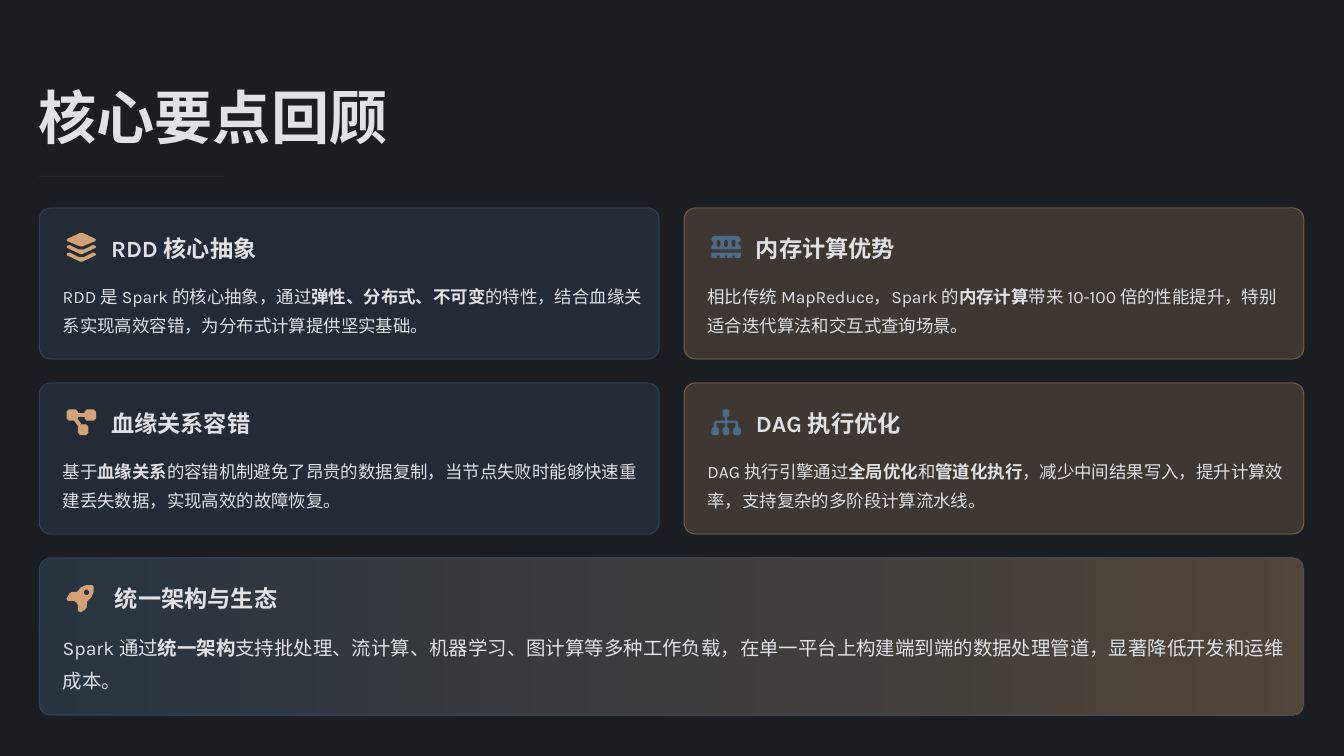
from lxml import etree
from pptx import Presentation
from pptx.dml.color import RGBColor
from pptx.enum.lang import MSO_LANGUAGE_ID
from pptx.enum.shapes import MSO_CONNECTOR, MSO_SHAPE
from pptx.enum.text import MSO_ANCHOR, MSO_AUTO_SIZE
from pptx.oxml.ns import qn
from pptx.util import Inches, Pt

CHINESE = MSO_LANGUAGE_ID.SIMPLIFIED_CHINESE
STRAIGHT = MSO_CONNECTOR.STRAIGHT
ROUNDED = MSO_SHAPE.ROUNDED_RECTANGLE
MIDDLE = MSO_ANCHOR.MIDDLE
NO_AUTOFIT = MSO_AUTO_SIZE.NONE

INK, BACKGROUND, BLUE, SAND = "E0E2E6", "1A1D21", "4A6B8A", "D4A373"
HEADING_FONT, BODY_FONT = "Noto Sans CJK SC", "Karla"


def block(x, y, width, height, cut=2):
    """Outline of a rectangle with cut corners."""
    right, bottom = x + width, y + height
    return [(x + cut, y), (right - cut, y), (right, y + cut), (right, bottom - cut),
            (right - cut, bottom), (x + cut, bottom), (x, bottom - cut), (x, y + cut)]


def layer(y):
    """Lower sheet of the stack icon."""
    return [(4, y), (16, y + 6), (23, y + 6), (35, y), (38, y + 1), (39, y + 3), (38, y + 4),
            (21, y + 12), (18, y + 12), (1, y + 4), (0, y + 3), (1, y + 1)]


# Icon outlines, in hundredths of an inch
ICONS = {
    "layers": [
        [(18, 0), (21, 0), (38, 8), (39, 9), (38, 11), (21, 18), (18, 18), (1, 11), (0, 9), (1, 8)],
        layer(16), layer(26)],
    "memory": [
        [(4, 4), (35, 4), (38, 6), (39, 10), (36, 13), (36, 15), (39, 18), (39, 22),
         (0, 22), (0, 18), (3, 15), (3, 13), (0, 10), (1, 6)],
        [(0, 26), (39, 26), (39, 31), (37, 33), (31, 33), (31, 30), (28, 30), (28, 33), (21, 33),
         (21, 30), (18, 30), (18, 33), (11, 33), (11, 30), (7, 30), (7, 33), (2, 33), (0, 31)],
        block(7, 9, 5, 10), block(17, 9, 5, 10), block(27, 9, 5, 10)],
    "lineage": [
        block(0, 2, 15, 15, 3), block(24, 2, 15, 15, 3), block(15, 22, 14, 14, 3),
        [(15, 7), (24, 7), (24, 12), (15, 12)], [(10, 17), (15, 15), (20, 22), (15, 24)]],
    "tree": [
        block(15, 2, 9, 10), block(0, 26, 10, 10), block(15, 26, 9, 10), block(29, 26, 10, 10),
        [(18, 12), (21, 12), (21, 17), (33, 17), (36, 20), (36, 26), (32, 26), (32, 20), (21, 20),
         (21, 26), (18, 26), (18, 20), (7, 20), (7, 26), (3, 26), (3, 20), (6, 17), (18, 17)]],
    "rocket": [
        [(10, 24), (2, 24), (0, 21), (4, 14), (7, 12), (14, 12), (19, 6), (26, 3), (34, 3), (36, 5),
         (36, 12), (33, 19), (27, 25), (27, 32), (25, 35), (19, 39), (15, 37), (15, 29), (13, 26)],
        block(23, 9, 7, 7)],
}

# Cards; every second piece of a body is bold
TITLE = "核心要点回顾"
CARDS = [
    dict(icon="layers", title="RDD 核心抽象", body=[
        "RDD 是 Spark 的核心抽象，通过", "弹性、分布式、不可变",
        "的特性，结合血缘关系实现高效容错，为分布式计算提供坚实基础。"]),
    dict(icon="memory", title="内存计算优势", body=[
        "相比传统 MapReduce，Spark 的", "内存计算",
        "带来 10-100 倍的性能提升，特别适合迭代算法和交互式查询场景。"]),
    dict(icon="lineage", title="血缘关系容错", body=[
        "基于", "血缘关系",
        "的容错机制避免了昂贵的数据复制，当节点失败时能够快速重建丢失数据，实现高效的故障恢复。"]),
    dict(icon="tree", title="DAG 执行优化", body=[
        "DAG 执行引擎通过", "全局优化", "和", "管道化执行",
        "，减少中间结果写入，提升计算效率，支持复杂的多阶段计算流水线。"]),
]
SUMMARY = dict(icon="rocket", title="统一架构与生态", body=[
    "Spark 通过", "统一架构",
    "支持批处理、流计算、机器学习、图计算等多种工作负载，在单一平台上构建端到端的数据处理管道，显著降低开发和运维成本。"])

# Grid, in inches
LEFT, TOP, GAP = 0.52, 2.75, 0.33
CARD_WIDTH, CARD_HEIGHT, ROW_STEP = 8.2, 2, 2.315
FULL_WIDTH, FULL_HEIGHT = 2 * CARD_WIDTH + GAP, 2.08

presentation = Presentation()
presentation.slide_width, presentation.slide_height = Inches(17.78), Inches(10)
slide = presentation.slides.add_slide(presentation.slide_layouts[6])


def color(value):
    return RGBColor.from_string(value)


def set_opacity(element, percent):
    for node in element.iter(qn("a:srgbClr")):
        etree.SubElement(node, qn("a:alpha"), val=str(percent * 1000))


def add_text(pieces, x, y, width, height, size, font=BODY_FONT, bold=False, spacing=1.0, wrap=True):
    frame = slide.shapes.add_textbox(*map(Inches, (x, y, width, height))).text_frame
    frame.margin_left = frame.margin_right = frame.margin_top = frame.margin_bottom = 0
    frame.auto_size, frame.word_wrap, frame.vertical_anchor = NO_AUTOFIT, wrap, MIDDLE
    paragraph = frame.paragraphs[0]
    paragraph.line_spacing = spacing
    for index, piece in enumerate(pieces):
        run = paragraph.add_run()
        run.text = piece
        run.font.size, run.font.name = Pt(size), font
        run.font.bold = bold or index % 2 == 1
        run.font.color.rgb = color(INK)
        run.font.language_id = CHINESE
        run.font._element.find(qn("a:latin")).addnext(
            etree.Element(qn("a:ea"), typeface=font))


def add_icon(name, x, y, fill):
    outlines = ICONS[name]
    builder = slide.shapes.build_freeform(*outlines[0][0], scale=Inches(0.01))
    for index, outline in enumerate(outlines):
        if index:
            builder.move_to(*outline[0])
        builder.add_line_segments(outline[1:], close=True)
    shape = builder.convert_to_shape(Inches(x), Inches(y))
    shape.shadow.inherit = False
    shape.fill.solid()
    shape.fill.fore_color.rgb = color(fill)
    shape.line.fill.background()


def add_card(card, x, y, width, height, fills, opacity, icon_color,
             title_offset=0.95, body_size=16.6, body_height=0.76):
    shape = slide.shapes.add_shape(ROUNDED, *map(Inches, (x, y, width, height)))
    shape.adjustments[0] = 0.15 / height
    shape.shadow.inherit = False
    properties = shape._element.spPr
    if len(fills) > 1:
        shape.fill.gradient()
        shape.fill.gradient_angle = 0
        for stop, value in zip(shape.fill.gradient_stops, fills):
            stop.color.rgb = color(value)
    else:
        shape.fill.solid()
        shape.fill.fore_color.rgb = color(fills[0])
    set_opacity(properties, opacity)
    shape.line.color.rgb = color(fills[0])
    shape.line.width = Pt(1)
    set_opacity(properties.find(qn("a:ln")), 40)

    add_icon(card["icon"], x + 0.36, y + 0.33, icon_color)
    add_text([card["title"]], x + title_offset, y + 0.31, 2.31, 0.41, 22.1,
             bold=True, spacing=1.1, wrap=False)
    add_text(card["body"], x + 0.31, y + 0.93, width - 0.5, body_height, body_size, spacing=1.4)


# Background, title and rule
slide.background.fill.solid()
slide.background.fill.fore_color.rgb = color(BACKGROUND)
add_text([TITLE], 0.51, 1.06, 17.14, 0.96, 55.4, font=HEADING_FONT, bold=True)
rule = slide.shapes.add_connector(STRAIGHT, *map(Inches, (0.51, 2.33, 2.97, 2.33)))
rule.line.color.rgb = color(SAND)
rule.line.width = Pt(0.5)
set_opacity(rule._element.spPr, 20)
etree.SubElement(rule._element.spPr, qn("a:effectLst"))

# Two by two cards
for index, card in enumerate(CARDS):
    row, column = divmod(index, 2)
    fill, icon_color = [(BLUE, SAND), (SAND, BLUE)][column]
    add_card(card, LEFT + column * (CARD_WIDTH + GAP), TOP + row * ROW_STEP,
             CARD_WIDTH, CARD_HEIGHT, [fill], 20, icon_color)

# Full-width summary card
add_card(SUMMARY, LEFT, TOP + 2 * ROW_STEP, FULL_WIDTH, FULL_HEIGHT, [BLUE, SAND], 30, SAND,
         title_offset=1, body_size=18.5, body_height=0.83)

presentation.save("out.pptx")
